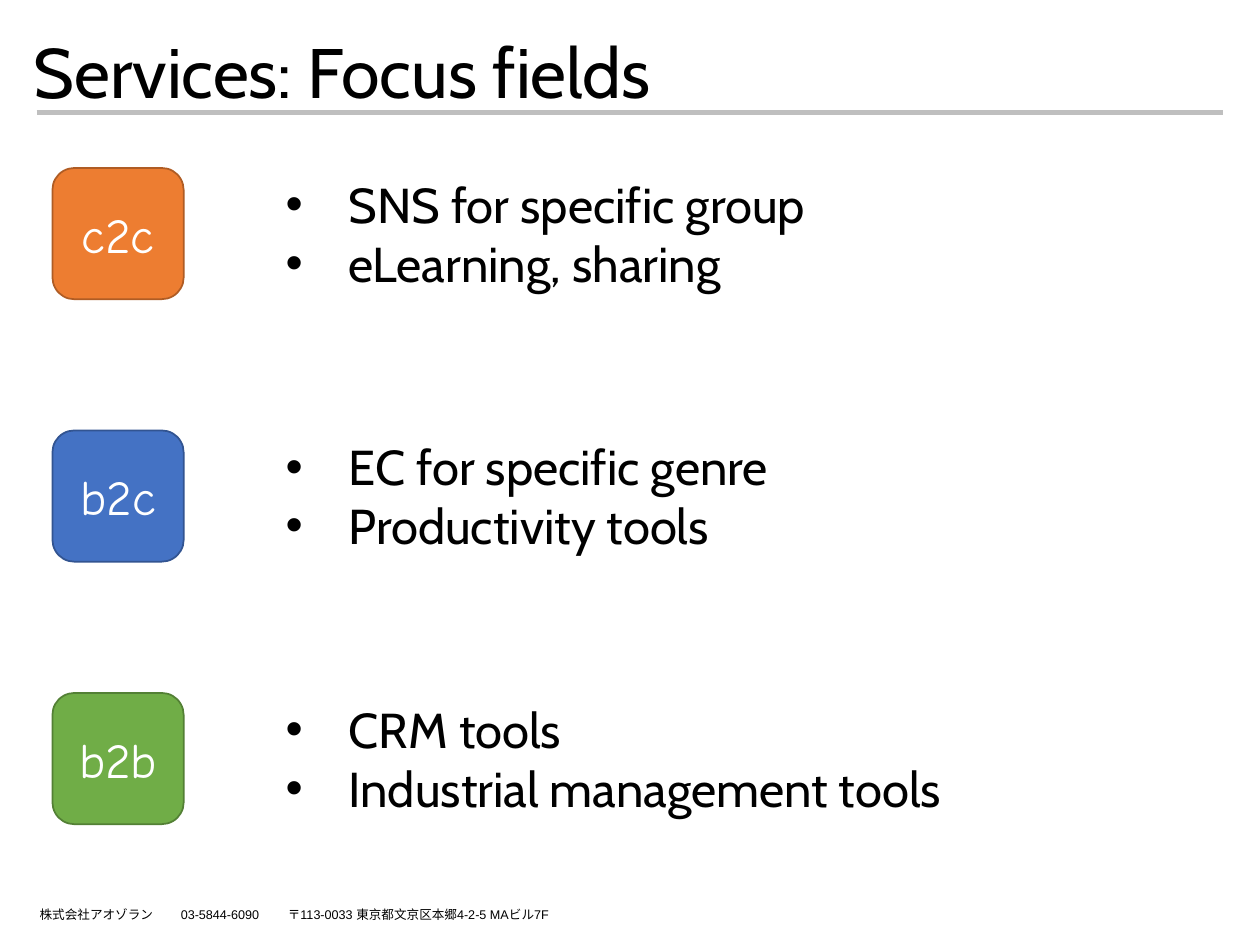
"""Build the focus fields slide: three badges, each with a bulleted list."""
from dataclasses import dataclass

from lxml.etree import SubElement
from pptx import Presentation
from pptx.dml.color import RGBColor as RGB
from pptx.enum.shapes import MSO_CONNECTOR as CONN, MSO_SHAPE as SHAPE
from pptx.enum.text import MSO_ANCHOR as ANCHOR, MSO_AUTO_SIZE as AUTO, PP_ALIGN as ALIGN
from pptx.oxml.ns import qn
from pptx.util import Inches, Pt


@dataclass(frozen=True)
class Theme:
    text: str = "000000"
    inverse: str = "FFFFFF"
    rule: str = "BFBFBF"
    main_font: str = "Cabin"
    badge_font: str = "Comic Neue"
    footer_font: str = "Arial"
    title_size: float = 40
    body_size: float = 28
    footer_size: float = 7.2
    rule_width: float = 3
    outline_width: float = 1


@dataclass(frozen=True)
class Field:
    label: str
    fill: str
    outline: str
    items: tuple[str, ...]


THEME = Theme()
COLUMNS, ROWS = 48, 36
FIRST_ROW, ROW_STEP, BLOCK = 6.4, 10, 5
FIELDS = (
    Field("c2c", "ED7D31", "AF5C24", ("SNS for specific group", "eLearning, sharing")),
    Field("b2c", "4472C4", "325491", ("EC for specific genre", "Productivity tools")),
    Field("b2b", "70AD47", "538035", ("CRM tools", "Industrial management tools")),
)
FOOTER = ("株式会社アオゾラン", "03-5844-6090", "〒113-0033 東京都文京区本郷4-2-5 MAビル7F")
FOOTER_TABS = (1.12, 1.97)

prs = Presentation()
prs.slide_width, prs.slide_height = Inches(10), Inches(7.5)


def grid(col: float, row: float, cols: float, rows: float) -> tuple[int, int, int, int]:
    """Turn a grid cell range into left, top, width and height."""
    dx, dy = prs.slide_width / COLUMNS, prs.slide_height / ROWS
    return int(col * dx), int(row * dy), int(cols * dx), int(rows * dy)


def place(sp, box: tuple[int, int, int, int]) -> None:
    """Move and size a placeholder."""
    sp.left, sp.top, sp.width, sp.height = box


def style(p, font: str, size: float, color: str, align=ALIGN.LEFT) -> None:
    """Format a paragraph and its runs."""
    p.alignment = align
    p.space_before = Pt(0)
    for r in p.runs:
        r.font.name, r.font.size, r.font.bold = font, Pt(size), False
        r.font.color.rgb = RGB.from_string(color)


def add_title(sp, text: str) -> None:
    """Fill the title placeholder."""
    place(sp, grid(0.8, 1.2, 36.4, 3))
    tf = sp.text_frame
    tf.text = text
    tf.auto_size, tf.vertical_anchor = AUTO.NONE, ANCHOR.TOP
    p = tf.paragraphs[0]
    p.line_spacing = 0.9
    style(p, THEME.main_font, THEME.title_size, THEME.text)


def add_list(sp, items: tuple[str, ...], row: float) -> None:
    """Fill a body placeholder with bullets."""
    place(sp, grid(10.4, row, 32.4, BLOCK))
    tf = sp.text_frame
    tf.text = "\n".join(items)
    tf.auto_size, tf.vertical_anchor = AUTO.NONE, ANCHOR.TOP
    for p in tf.paragraphs:
        style(p, THEME.main_font, THEME.body_size, THEME.text)
        pPr = p._p.get_or_add_pPr()
        pPr.set("marL", str(Inches(0.5)))
        pPr.set("indent", str(Inches(-0.5)))
        SubElement(pPr, qn("a:buFont"), typeface="Arial")
        SubElement(pPr, qn("a:buChar"), char="•")


def add_badge(s, field: Field, row: float) -> None:
    """Draw the rounded label of a field."""
    sp = s.shapes.add_shape(SHAPE.ROUNDED_RECTANGLE, *grid(2, row, BLOCK, BLOCK))
    sp.shadow.inherit = False
    sp.fill.solid()
    sp.fill.fore_color.rgb = RGB.from_string(field.fill)
    sp.line.color.rgb = RGB.from_string(field.outline)
    sp.line.width = Pt(THEME.outline_width)
    tf = sp.text_frame
    tf.text = field.label
    tf.vertical_anchor = ANCHOR.MIDDLE
    style(tf.paragraphs[0], THEME.badge_font, THEME.body_size, THEME.inverse, ALIGN.CENTER)


def add_rule(s) -> None:
    """Draw the line under the title."""
    left, top, width, _ = grid(1.4, 4.28, 45.2, 0)
    line = s.shapes.add_connector(CONN.STRAIGHT, left, top, left + width, top)
    line.line.color.rgb = RGB.from_string(THEME.rule)
    line.line.width = Pt(THEME.rule_width)
    SubElement(line._element.spPr, qn("a:effectLst"))


def add_footer(s) -> None:
    """Write the company line on tab stops."""
    tf = s.shapes.add_textbox(*grid(1.04, 34.3, 24, 1.04)).text_frame
    tf.word_wrap = True
    p = tf.paragraphs[0]
    p.text = "\t".join(FOOTER)
    style(p, THEME.footer_font, THEME.footer_size, THEME.text)
    tabs = SubElement(p._p.get_or_add_pPr(), qn("a:tabLst"))
    for pos in FOOTER_TABS:
        SubElement(tabs, qn("a:tab"), pos=str(Inches(pos)), algn="l")


def main() -> None:
    """Compose and save the slide."""
    s = prs.slides.add_slide(prs.slide_layouts.get_by_name("Comparison"))
    title, *bodies = s.placeholders
    add_rule(s)
    add_footer(s)
    add_title(title, "Services: Focus fields")
    for i, (field, body) in enumerate(zip(FIELDS, bodies)):
        row = FIRST_ROW + i * ROW_STEP
        add_list(body, field.items, row)
        add_badge(s, field, row)
    for sp in bodies[len(FIELDS):]:
        sp._element.getparent().remove(sp._element)
    prs.save("out.pptx")


if __name__ == "__main__":
    main()
